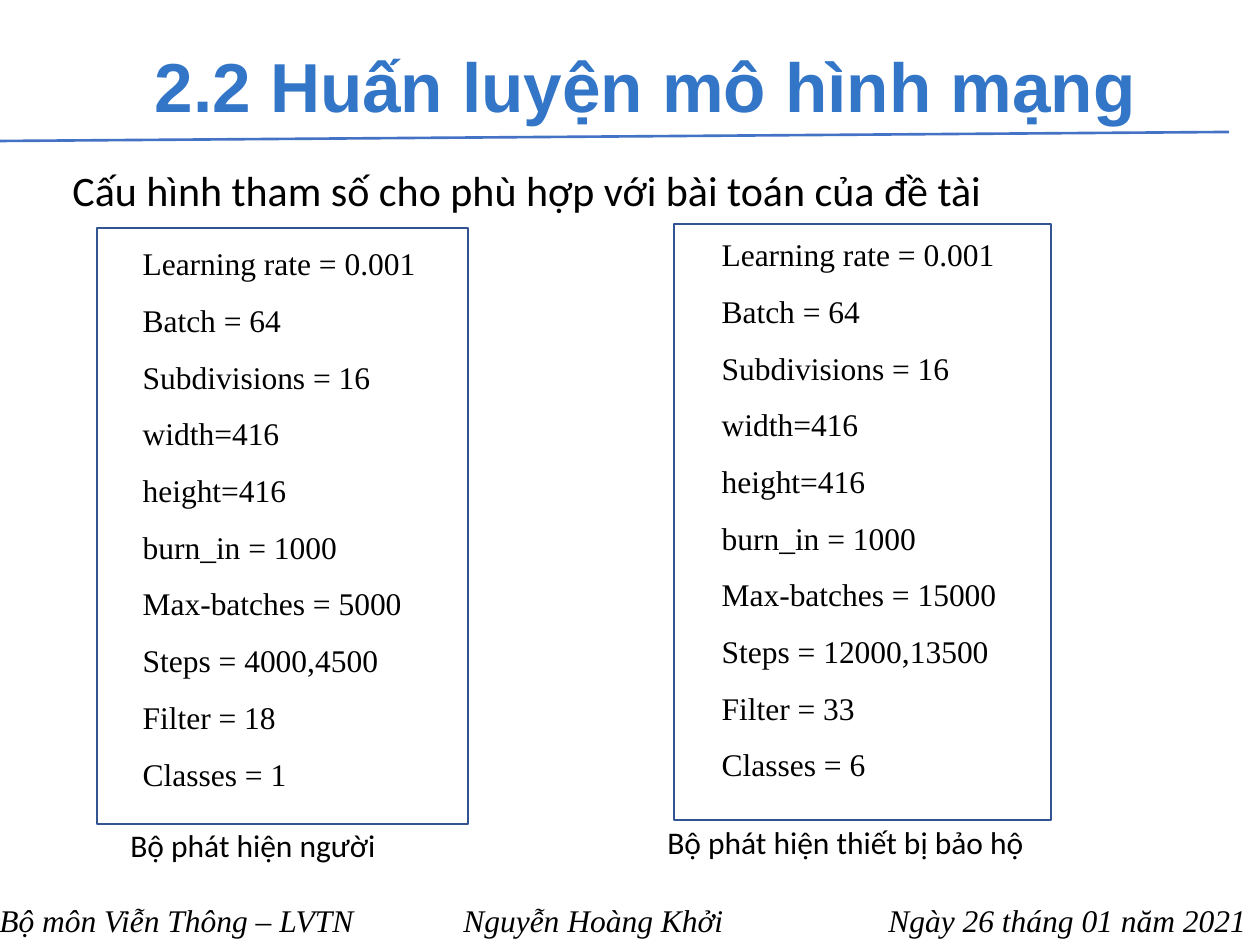
from lxml import etree
from pptx import Presentation
from pptx import util as u
from pptx.dml.color import RGBColor
from pptx.enum import shapes, text
from pptx.oxml.ns import qn

BLACK = RGBColor(0, 0, 0)
TITLE = RGBColor(0x33, 0x76, 0xC7)
RULE = RGBColor(0x44, 0x72, 0xC4)
FRAME = RGBColor(0x32, 0x54, 0x91)
SCALE = 914400 / 126  # EMU per px

COMMON = ["Learning rate = 0.001", "Batch = 64", "Subdivisions = 16",
          "width=416", "height=416", "burn_in = 1000"]
# list box, frame, caption box, caption, values that differ
PANELS = [
    ((76, 219, 654, 578), (97, 228, 371, 596), (118, 820, 350, 50),
     "Bộ phát hiện người",
     ["Max-batches = 5000", "Steps = 4000,4500", "Filter = 18", "Classes = 1"]),
    ((655, 210, 654, 578), (674, 224, 377, 596), (655, 817, 476, 50),
     "Bộ phát hiện thiết bị bảo hộ",
     ["Max-batches = 15000", "Steps = 12000,13500", "Filter = 33", "Classes = 6"]),
]


def px(n):
    return u.Emu(round(n * SCALE))


class Deck:
    """Holds the text style and the slide being filled."""

    base = {"name": "Calibri", "size": u.Pt(18), "bold": False, "italic": False}

    def __init__(self):
        self.prs = Presentation()
        self.prs.slide_width, self.prs.slide_height = px(1260), px(945)
        self.slide = self.prs.slides.add_slide(self.prs.slide_layouts[3])

    def fill(self, shape, box, lines, para=None, color=BLACK,
             anchor=text.MSO_ANCHOR.TOP, **font):
        """Place a shape and set its lines of text in one style."""
        shape.left, shape.top, shape.width, shape.height = map(px, box)
        frame = shape.text_frame
        frame.text = "\n".join(lines)
        frame.word_wrap = True
        frame.auto_size = text.MSO_AUTO_SIZE.NONE
        frame.vertical_anchor = anchor
        look = {"alignment": text.PP_ALIGN.LEFT, "space_before": u.Pt(0), **(para or {})}
        for par in frame.paragraphs:
            for key, val in look.items():
                setattr(par, key, val)
            face = par.runs[0].font
            for key, val in {**self.base, **font}.items():
                setattr(face, key, val)
            face.color.rgb = color
        return frame

    def title(self, box, line, **font):
        self.fill(self.slide.shapes.title, box, [line], {"line_spacing": 0.9},
                  TITLE, text.MSO_ANCHOR.MIDDLE, **font)

    def list(self, idx, box, lines):
        para = {"alignment": text.PP_ALIGN.JUSTIFY, "line_spacing": 1.5}
        frame = self.fill(self.slide.placeholders[idx], box, lines, para,
                          name="Times New Roman")
        for par in frame.paragraphs:
            props = par._p.get_or_add_pPr()
            props.set("marL", str(px(18)))
            props.set("indent", str(px(36)))
            etree.SubElement(props, qn("a:buNone"))

    def label(self, box, line, **font):
        shape = self.slide.shapes.add_textbox(0, 0, 0, 0)
        return self.fill(shape, box, [line], **font)

    def row(self, box, parts, stops, **font):
        """One line whose parts start at tab stops, in px from its left."""
        frame = self.label(box, "\t".join(parts), **font)
        props = frame.paragraphs[0]._p.get_or_add_pPr()
        tabs = etree.SubElement(props, qn("a:tabLst"))
        for stop in stops:
            etree.SubElement(tabs, qn("a:tab"), pos=str(px(stop)), algn="l")

    def frame(self, box):
        rect = self.slide.shapes.add_shape(shapes.MSO_SHAPE.RECTANGLE, *map(px, box))
        rect.shadow.inherit = False
        rect.fill.background()
        rect.line.color.rgb = FRAME
        rect.line.width = u.Pt(1)

    def rule(self, ends):
        line = self.slide.shapes.add_connector(
            shapes.MSO_CONNECTOR.STRAIGHT, *map(px, ends))
        line.line.color.rgb = RULE
        line.line.width = u.Pt(1.5)
        etree.SubElement(line._element.spPr, qn("a:effectLst"))


def main():
    deck = Deck()
    deck.title((142, 44, 1043, 93), "2.2 Huấn luyện mô hình mạng",
               name="Arial", size=u.Pt(39.6), bold=True)
    deck.rule((0, 141, 1229, 132))
    deck.label((60, 158, 1106, 63),
               "Cấu hình tham số cho phù hợp với bài toán của đề tài", size=u.Pt(24))
    for idx, (box, edge, foot, name, own) in enumerate(PANELS, 1):
        deck.list(idx, box, COMMON + own)
        deck.frame(edge)
        deck.label(foot, name)
    deck.row((-13, 895, 1337, 50),
             ["Bộ môn Viễn Thông – LVTN", "Nguyễn Hoàng Khởi",
              "Ngày 26 tháng 01 năm 2021"],
             (464, 889), name="Times New Roman", italic=True)
    deck.prs.save("out.pptx")


if __name__ == "__main__":
    main()
